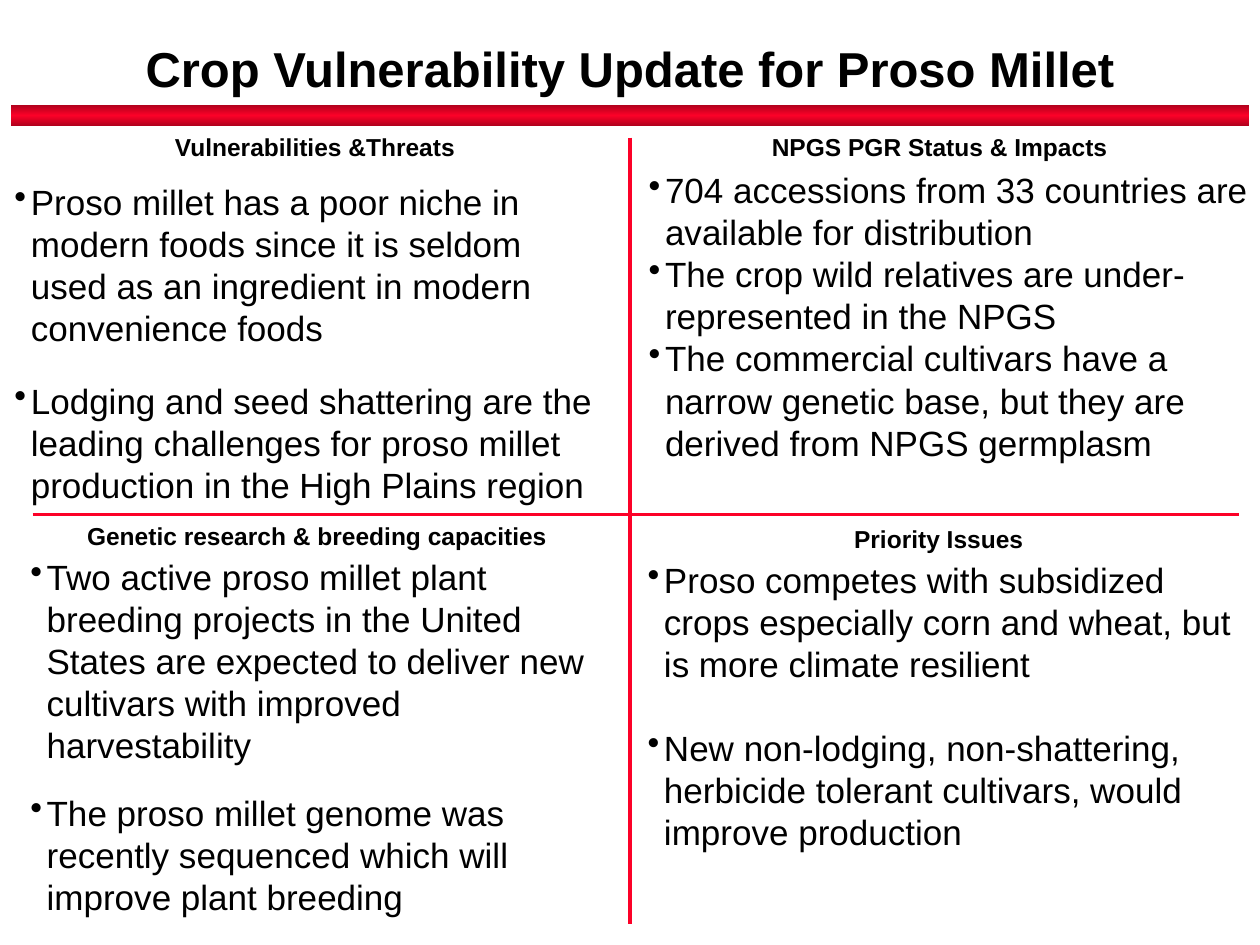
from copy import deepcopy
from dataclasses import dataclass

from lxml.etree import SubElement
from pptx import Presentation
from pptx.dml.color import RGBColor
from pptx.enum.shapes import MSO_CONNECTOR, MSO_SHAPE
from pptx.enum.text import MSO_ANCHOR, MSO_AUTO_SIZE, PP_ALIGN
from pptx.oxml.ns import qn
from pptx.slide import Slide
from pptx.util import Emu, Inches, Pt


@dataclass(frozen=True)
class Theme:
    font: str = "Arial"
    ink: RGBColor = RGBColor(0, 0, 0)
    red: RGBColor = RGBColor(0xFC, 0x01, 0x28)
    dark: RGBColor = RGBColor(0xB0, 0x01, 0x1C)
    title: int = 28
    head: int = 14
    body: int = 20
    rule: float = 2.25
    hang: float = 0.13


@dataclass(frozen=True)
class Box:
    col: float
    row: float
    cols: float
    rows: float


@dataclass(frozen=True)
class Panel:
    head: str
    top: Box
    items: tuple[str, ...]
    area: Box
    before: float = 0
    after: float = 0


THEME = Theme()
WIDE, HIGH = Inches(10), Inches(7.5)
COLS, ROWS = 120, 90
MID, SPLIT = 60, 49

TITLE = Box(0, 4, COLS, 5)
BAR = Box(1, 10, 118, 2)
RULES = [(3.1, SPLIT, 118, SPLIT), (MID, 13.1, MID, 88)]
PANELS = [
    Panel(
        "Vulnerabilities &Threats", Box(1, 12, 58, 36),
        ("Proso millet has a poor niche in modern foods since it is seldom "
         "used as an ingredient in modern convenience foods",
         "Lodging and seed shattering are the leading challenges for proso "
         "millet production in the High Plains region"),
        Box(0.2, 16.6, 58, 32.2), before=10, after=7.5),
    Panel(
        "NPGS PGR Status & Impacts", Box(MID, 12, 59, 36),
        ("704 accessions from 33 countries are available for distribution",
         "The crop wild relatives are under-represented in the NPGS",
         "The commercial cultivars have a narrow genetic base, but they are "
         "derived from NPGS germplasm"),
        Box(60.6, 15.5, 61, 29.3)),
    Panel(
        "Genetic research & breeding capacities", Box(2.3, SPLIT, 55.8, 5),
        ("Two active proso millet plant breeding projects in the United "
         "States are expected to deliver new cultivars with improved "
         "harvestability",
         "The proso millet genome was recently sequenced which will improve "
         "plant breeding"),
        Box(1.7, 52.3, 58, 35.8), before=15),
    Panel(
        "Priority Issues", Box(63.4, 49.3, 52, 6.7),
        ("Proso competes with subsidized crops especially corn and wheat, "
         "but is more climate resilient",
         "New non-lodging, non-shattering, herbicide tolerant cultivars, "
         "would improve production"),
        Box(60.5, 52.6, 60, 33.2), before=24),
]


def across(col: float) -> Emu:
    return Emu(round(WIDE * col / COLS))


def down(row: float) -> Emu:
    return Emu(round(HIGH * row / ROWS))


def place(box: Box) -> tuple[Emu, Emu, Emu, Emu]:
    return across(box.col), down(box.row), across(box.cols), down(box.rows)


def add_frame(slide: Slide, box: Box):
    frame = slide.shapes.add_textbox(*place(box)).text_frame
    frame.word_wrap = True
    return frame


def add_run(para, text: str, size: int, bold: bool = False) -> None:
    run = para.add_run()
    run.text = text
    font = run.font
    font.name, font.size, font.bold = THEME.font, Pt(size), bold
    font.color.rgb = THEME.ink


def add_label(slide: Slide, box: Box, text: str, size: int,
              anchor: MSO_ANCHOR = MSO_ANCHOR.TOP) -> None:
    frame = add_frame(slide, box)
    frame.vertical_anchor = anchor
    para = frame.paragraphs[0]
    para.alignment = PP_ALIGN.CENTER
    add_run(para, text, size, bold=True)


def add_list(slide: Slide, panel: Panel) -> None:
    frame = add_frame(slide, panel.area)
    frame.auto_size = MSO_AUTO_SIZE.SHAPE_TO_FIT_TEXT
    for spot, text in enumerate(panel.items):
        para = frame.add_paragraph() if spot else frame.paragraphs[0]
        para.space_before, para.space_after = Pt(panel.before), Pt(panel.after)
        props = para._p.get_or_add_pPr()
        props.set("marL", str(Inches(THEME.hang)))
        props.set("indent", str(-Inches(THEME.hang)))
        SubElement(props, qn("a:buChar")).set("char", "•")
        add_run(para, text, THEME.body)


def add_bar(slide: Slide, box: Box) -> None:
    bar = slide.shapes.add_shape(MSO_SHAPE.RECTANGLE, *place(box))
    bar.shadow.inherit = False
    bar.line.fill.background()
    bar.fill.gradient()
    bar.fill.gradient_angle = 90
    stops = bar._element.spPr.find(".//" + qn("a:gsLst"))
    stops.append(deepcopy(stops[-1]))
    tints = (THEME.dark, THEME.red, THEME.dark)
    for stop, tint, share in zip(bar.fill.gradient_stops, tints, (0, 0.5, 1)):
        stop.color.rgb = tint
        stop.position = share


def add_rule(slide: Slide, left: float, top: float,
             right: float, base: float) -> None:
    rule = slide.shapes.add_connector(
        MSO_CONNECTOR.STRAIGHT,
        across(left), down(top), across(right), down(base))
    rule.line.color.rgb = THEME.red
    rule.line.width = Pt(THEME.rule)
    SubElement(rule._element.spPr, qn("a:effectLst"))


def main() -> None:
    deck = Presentation()
    deck.slide_width, deck.slide_height = WIDE, HIGH
    slide = deck.slides.add_slide(deck.slide_layouts[6])
    add_bar(slide, BAR)
    add_label(slide, TITLE, "Crop Vulnerability Update for Proso Millet",
              THEME.title, MSO_ANCHOR.MIDDLE)
    for rule in RULES:
        add_rule(slide, *rule)
    for panel in PANELS:
        add_label(slide, panel.top, panel.head, THEME.head)
        add_list(slide, panel)
    deck.save("out.pptx")


if __name__ == "__main__":
    main()
